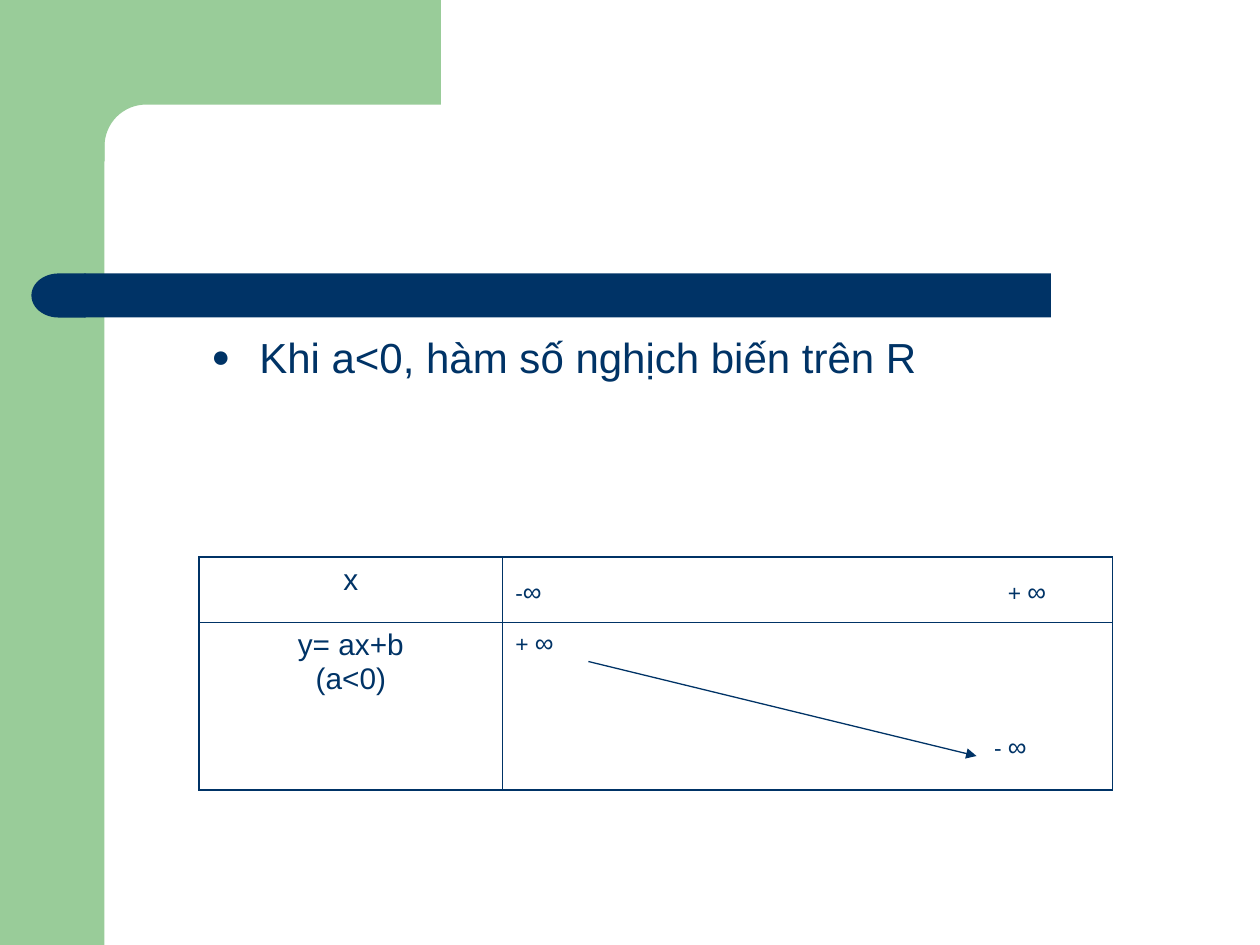
from math import cos, pi, sin

from lxml import etree
from pptx import Presentation
from pptx.dml.color import RGBColor
from pptx.enum.shapes import MSO_CONNECTOR, MSO_SHAPE
from pptx.enum.text import PP_ALIGN
from pptx.oxml.ns import qn
from pptx.util import Inches, Pt

NAVY = RGBColor(0x00, 0x33, 0x66)
GREEN = RGBColor(0x99, 0xCC, 0x99)
FONT = "Arial"
CENTER = PP_ALIGN.CENTER
RECTANGLE = MSO_SHAPE.RECTANGLE
DELAY = MSO_SHAPE.FLOWCHART_DELAY
STRAIGHT = MSO_CONNECTOR.STRAIGHT
OUTER_WIDTH, INNER_WIDTH = Pt(1.08), Pt(0.45)


def add_child(parent, tag, **attributes):
    return etree.SubElement(parent, qn(tag), attributes)


def paint(shape, color):
    shape.shadow.inherit = False
    shape.fill.solid()
    shape.fill.fore_color.rgb = color
    shape.line.fill.background()


def add_block(slide, kind, left, top, width, height, color):
    shape = slide.shapes.add_shape(
        kind, Inches(left), Inches(top), Inches(width), Inches(height))
    paint(shape, color)
    return shape


def add_corner(slide):
    """Green band along the top with a rounded inner corner."""
    center, radius, steps = 1.16, 0.33, 16
    angles = [pi / 2 * step / steps for step in range(steps + 1)]
    arc = [(center - radius * sin(angle), center - radius * cos(angle))
           for angle in angles]
    points = [(3.5, 0.83), *arc, (0.83, 1.28), (0.5, 1.28), (0.5, 0)]
    builder = slide.shapes.build_freeform(
        Inches(3.5), 0, scale=1.0)
    builder.add_line_segments([(Inches(x), Inches(y)) for x, y in points])
    paint(builder.convert_to_shape(), GREEN)


def add_run(paragraph, text, size):
    run = paragraph.add_run()
    run.text = text
    run.font.name = FONT
    run.font.size = Pt(size)
    run.font.color.rgb = NAVY


def add_infinity(paragraph, sign):
    add_run(paragraph, sign, 13)
    add_run(paragraph, "∞", 15)


def add_bullet_text(slide, text):
    box = slide.shapes.add_textbox(
        Inches(1.58), Inches(2.58), Inches(6.84), Inches(1.34))
    box.text_frame.word_wrap = True
    paragraph = box.text_frame.paragraphs[0]
    properties = paragraph._p.get_or_add_pPr()
    properties.set("marL", str(Inches(0.38)))
    properties.set("indent", str(Inches(-0.38)))
    color = add_child(properties, "a:buClr")
    add_child(color, "a:srgbClr", val=str(NAVY))
    add_child(properties, "a:buSzPct", val="75000")
    add_child(properties, "a:buFont", typeface=FONT)
    add_child(properties, "a:buChar", char="●")
    add_run(paragraph, text, 24)


def set_borders(cell, row, column):
    """Thick lines on the outside of the 2 by 2 table, thin lines inside."""
    cell.fill.background()
    properties = cell._tc.get_or_add_tcPr()
    outer_sides = {"a:lnL": column == 0, "a:lnR": column == 1,
                   "a:lnT": row == 0, "a:lnB": row == 1}
    for position, (tag, outer) in enumerate(outer_sides.items()):
        width = OUTER_WIDTH if outer else INNER_WIDTH
        line = etree.Element(qn(tag), w=str(width))
        fill = add_child(line, "a:solidFill")
        add_child(fill, "a:srgbClr", val=str(NAVY))
        properties.insert(position, line)


def fill_label(cell, lines):
    frame = cell.text_frame
    for index, text in enumerate(lines):
        paragraph = frame.add_paragraph() if index else frame.paragraphs[0]
        paragraph.alignment = CENTER
        add_run(paragraph, text, 17)


def fill_domain(cell):
    paragraph = cell.text_frame.paragraphs[0]
    tabs = add_child(paragraph._p.get_or_add_pPr(), "a:tabLst")
    add_child(tabs, "a:tab", pos=str(Inches(3.91)), algn="l")
    add_infinity(paragraph, "-")
    add_run(paragraph, "\t", 24)
    add_infinity(paragraph, "+ ")


def fill_values(cell):
    add_infinity(cell.text_frame.paragraphs[0], "+ ")
    end = cell.text_frame.add_paragraph()
    end._p.get_or_add_pPr().set("marL", str(Inches(3.8)))
    end.space_before = Pt(43)
    add_infinity(end, "- ")


def add_variation_table(slide):
    frame = slide.shapes.add_table(
        2, 2, Inches(1.58), Inches(4.42), Inches(7.25), Inches(1.85))
    table = frame.table
    table.first_row = table.horz_banding = False
    for column, width in zip(table.columns, (2.41, 4.84)):
        column.width = Inches(width)
    for row, height in zip(table.rows, (0.52, 1.33)):
        row.height = Inches(height)
    for row in range(2):
        for column in range(2):
            set_borders(table.cell(row, column), row, column)
    fill_label(table.cell(0, 0), ["x"])
    fill_label(table.cell(1, 0), ["y= ax+b", "(a<0)"])
    fill_domain(table.cell(0, 1))
    fill_values(table.cell(1, 1))


def add_arrow(slide):
    arrow = slide.shapes.add_connector(
        STRAIGHT, Inches(4.67), Inches(5.25), Inches(7.75), Inches(6))
    arrow.line.color.rgb = NAVY
    arrow.line.width = Pt(0.75)
    add_child(arrow.line._get_or_add_ln(), "a:tailEnd", type="triangle")
    add_child(arrow._element.spPr, "a:effectLst")


def main():
    presentation = Presentation()
    presentation.slide_width = Inches(10)
    presentation.slide_height = Inches(7.5)
    slide = presentation.slides.add_slide(presentation.slide_layouts[6])
    add_block(slide, RECTANGLE, 0, 0, 0.83, 7.5, GREEN)
    add_corner(slide)
    add_block(slide, RECTANGLE, 0.67, 2.17, 7.67, 0.35, NAVY)
    cap = add_block(slide, DELAY, 0.25, 2.17, 0.43, 0.35, NAVY)
    cap._element.spPr.get_or_add_xfrm().set("flipH", "1")
    add_bullet_text(slide, "Khi a<0, hàm số nghịch biến trên R")
    add_variation_table(slide)
    add_arrow(slide)
    presentation.save("out.pptx")


if __name__ == "__main__":
    main()
